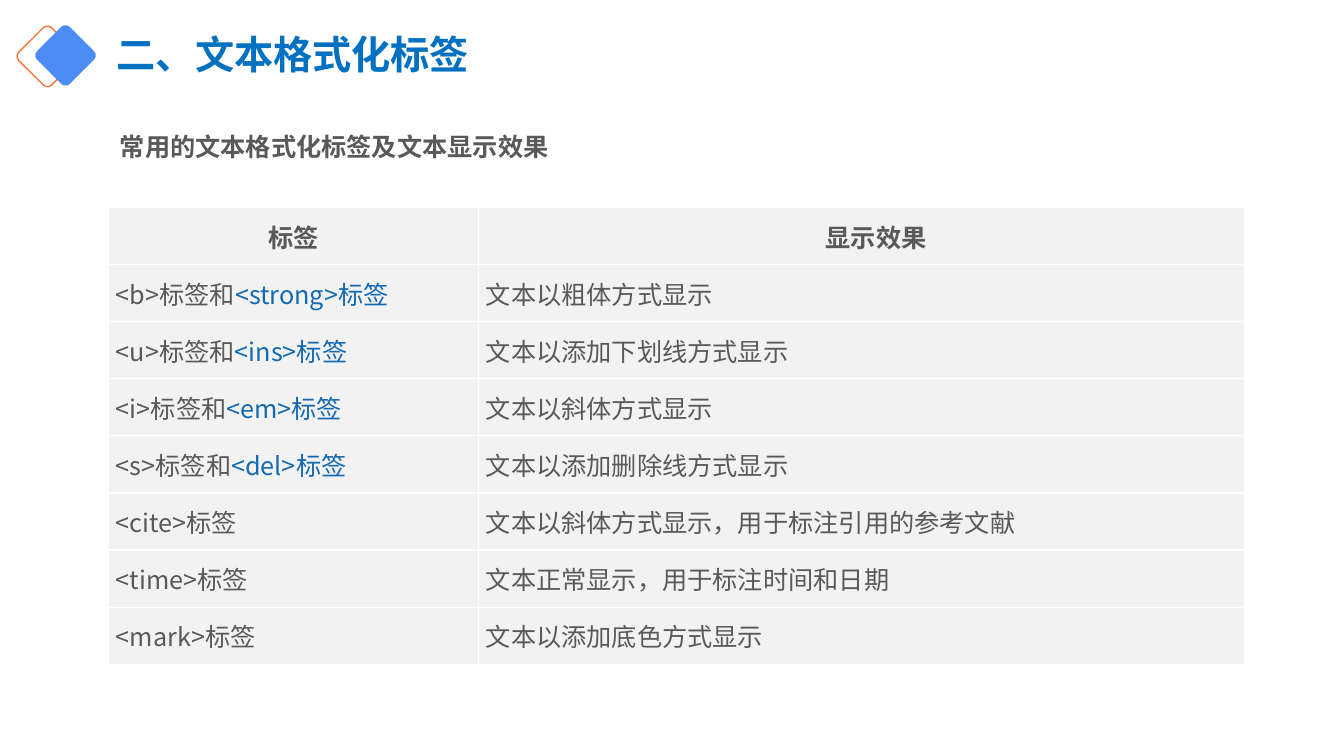
import pptx
import pptx.dml.color
import pptx.enum.shapes
import pptx.enum.text
import pptx.oxml.ns
import pptx.util
from lxml import etree

Inches = pptx.util.Inches
Pt = pptx.util.Pt
RGBColor = pptx.dml.color.RGBColor
PP_ALIGN = pptx.enum.text.PP_ALIGN
ANCHOR = pptx.enum.text.MSO_ANCHOR
qn = pptx.oxml.ns.qn

FONT = "Noto Sans CJK SC"
WHITE = RGBColor(0xFF, 0xFF, 0xFF)
ORANGE = RGBColor(0xFD, 0x70, 0x3B)
BRIGHT_BLUE = RGBColor(0x4C, 0x8C, 0xF5)
TITLE_BLUE = RGBColor(0x00, 0x70, 0xC0)
TAG_BLUE = RGBColor(0x13, 0x69, 0xB2)
GREY = RGBColor(0x59, 0x59, 0x59)
CELL_GREY = RGBColor(0xF2, 0xF2, 0xF2)


def style_paragraph(p, size, color, bold, align):
    p.alignment = align
    p.font.size = Pt(size)
    p.font.bold = bold
    p.font.color.rgb = color
    p.font.name = FONT
    etree.SubElement(p._p.pPr.find(qn("a:defRPr")), qn("a:ea"), typeface=FONT)


def add_borders(cell, color, width):
    """Draw all four sides of a table cell; call before setting its fill."""
    for side in ("a:lnL", "a:lnR", "a:lnT", "a:lnB"):
        ln = etree.SubElement(cell._tc.get_or_add_tcPr(), qn(side), w=str(Pt(width)))
        fill = etree.SubElement(ln, qn("a:solidFill"))
        etree.SubElement(fill, qn("a:srgbClr"), val=str(color))


prs = pptx.Presentation()
prs.slide_width = Inches(13.33)
prs.slide_height = Inches(7.5)
s = prs.slides.add_slide(prs.slide_layouts[6])

# Overlapping diamonds beside the title
diamonds = []
for left, top in ((0.24, 0.33), (0.42, 0.32)):
    sp = s.shapes.add_shape(pptx.enum.shapes.MSO_SHAPE.ROUNDED_RECTANGLE,
                            Inches(left), Inches(top), Inches(0.46), Inches(0.46))
    sp.rotation = 45
    sp.adjustments[0] = 0.13
    sp.shadow.inherit = False
    diamonds.append(sp)
outline, solid = diamonds
outline.fill.background()
outline.line.color.rgb = ORANGE
outline.line.width = Pt(1)
solid.fill.solid()
solid.fill.fore_color.rgb = BRIGHT_BLUE
solid.line.fill.background()

# Title and subtitle
headings = [
    ("二、文本格式化标签", (1.06, 0.17, 5.13, 0.79), (0.1, 0.05), ANCHOR.MIDDLE,
     0.9, 28, TITLE_BLUE, PP_ALIGN.LEFT),
    ("常用的文本格式化标签及文本显示效果", (1.06, 1.08, 8.67, 0.59), (0.13, 0.07), ANCHOR.TOP,
     1.5, 18, GREY, PP_ALIGN.JUSTIFY),
]
for text, box, (inset_x, inset_y), anchor, spacing, size, color, align in headings:
    tf = s.shapes.add_textbox(*map(Inches, box)).text_frame
    tf.word_wrap = True
    tf.vertical_anchor = anchor
    tf.margin_left = tf.margin_right = Inches(inset_x)
    tf.margin_top = tf.margin_bottom = Inches(inset_y)
    p = tf.paragraphs[0]
    p.add_run().text = text
    p.line_spacing = spacing
    style_paragraph(p, size, color, True, align)

# Table: plain tag text, highlighted tag text, effect
rows = [
    ("标签", "", "显示效果"),
    ("<b>标签和", "<strong>标签", "文本以粗体方式显示"),
    ("<u>标签和", "<ins>标签", "文本以添加下划线方式显示"),
    ("<i>标签和", "<em>标签", "文本以斜体方式显示"),
    ("<s>标签和", "<del>标签", "文本以添加删除线方式显示"),
    ("<cite>标签", "", "文本以斜体方式显示，用于标注引用的参考文献"),
    ("<time>标签", "", "文本正常显示，用于标注时间和日期"),
    ("<mark>标签", "", "文本以添加底色方式显示"),
]
table = s.shapes.add_table(len(rows), 2, Inches(1.08), Inches(2.06),
                           Inches(11.26), Inches(4.53)).table
table.columns[0].width = Inches(3.67)
table.columns[1].width = Inches(7.59)

for i, (tag, preferred_tag, effect) in enumerate(rows):
    header = i == 0
    for j, text in enumerate((tag, effect)):
        cell = table.cell(i, j)
        cell.vertical_anchor = ANCHOR.MIDDLE
        cell.margin_left = cell.margin_right = Inches(0.07)
        cell.margin_top = cell.margin_bottom = Inches(0.05)
        add_borders(cell, WHITE, 1)
        cell.fill.solid()
        cell.fill.fore_color.rgb = CELL_GREY
        p = cell.text_frame.paragraphs[0]
        p.add_run().text = text
        if j == 0 and preferred_tag:
            r = p.add_run()
            r.text = preferred_tag
            r.font.color.rgb = TAG_BLUE
        style_paragraph(p, 18, GREY, header, PP_ALIGN.CENTER if header else PP_ALIGN.JUSTIFY)

# The second heading has a first-line indent
table.cell(0, 1).text_frame.paragraphs[0]._p.pPr.set("indent", str(Inches(0.29)))

prs.save("out.pptx")
